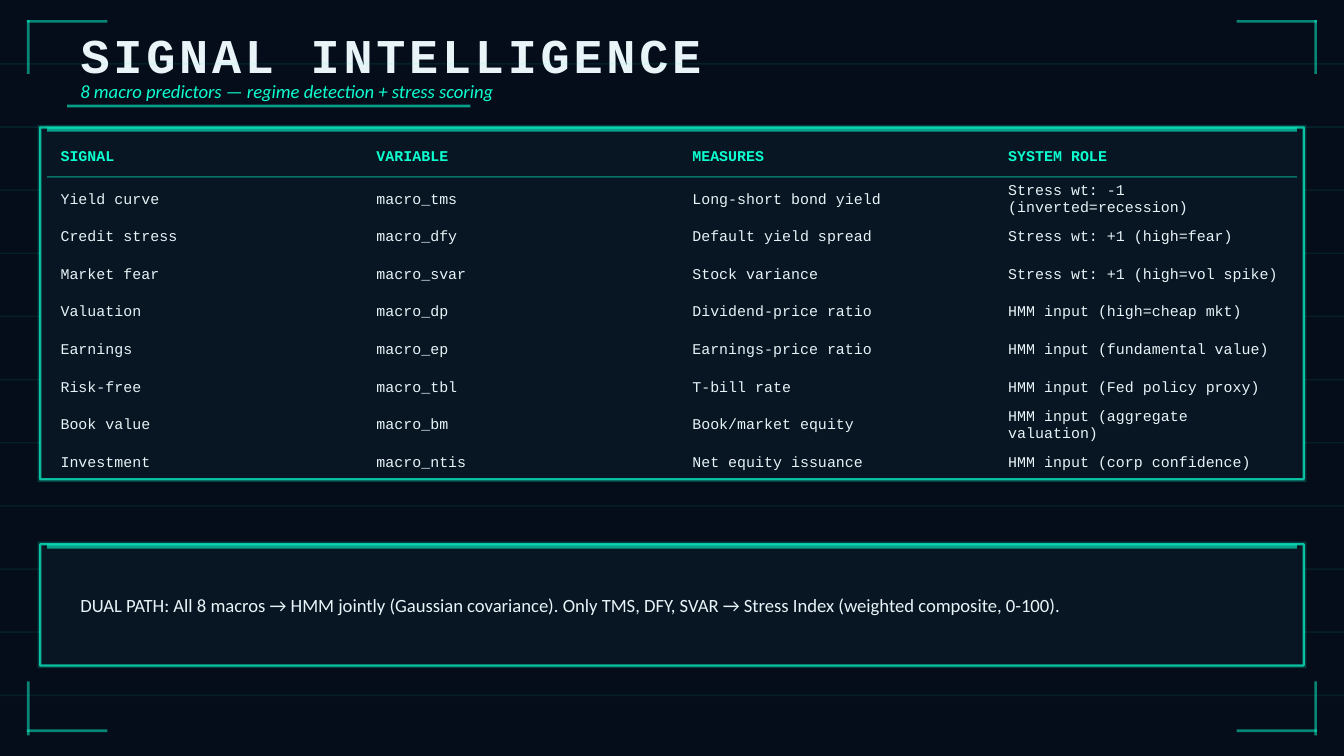
"""Build the signal intelligence slide: a predictor table above a dual-path note."""
from dataclasses import dataclass

import lxml.etree
import pptx
import pptx.dml.color
import pptx.enum.shapes
import pptx.enum.text
import pptx.oxml.ns
import pptx.util

Cm = pptx.util.Cm
MIDDLE = pptx.enum.text.MSO_ANCHOR.MIDDLE
NO_STYLE_NO_GRID = "{2D5ABB26-0587-4C30-8999-92F81FD0307C}"


@dataclass(frozen=True)
class Theme:
    night: str = "050D1A"
    panel: str = "091422"
    accent: str = "0CFFD0"
    light: str = "E8F4F8"
    mono: str = "Courier New"
    sans: str = "Calibri"
    title_size: int = 26
    body_size: int = 10
    cell_size: int = 8


THEME = Theme()

SIGNALS = [
    ("SIGNAL", "VARIABLE", "MEASURES", "SYSTEM ROLE"),
    ("Yield curve", "macro_tms", "Long-short bond yield", "Stress wt: -1 (inverted=recession)"),
    ("Credit stress", "macro_dfy", "Default yield spread", "Stress wt: +1 (high=fear)"),
    ("Market fear", "macro_svar", "Stock variance", "Stress wt: +1 (high=vol spike)"),
    ("Valuation", "macro_dp", "Dividend-price ratio", "HMM input (high=cheap mkt)"),
    ("Earnings", "macro_ep", "Earnings-price ratio", "HMM input (fundamental value)"),
    ("Risk-free", "macro_tbl", "T-bill rate", "HMM input (Fed policy proxy)"),
    ("Book value", "macro_bm", "Book/market equity", "HMM input (aggregate valuation)"),
    ("Investment", "macro_ntis", "Net equity issuance", "HMM input (corp confidence)"),
]


def rgb(color):
    """Return a colour object for a hex string."""
    return pptx.dml.color.RGBColor.from_string(color)


def paint(fill, color, opacity):
    """Fill with one colour at the given opacity in percent."""
    fill.solid()
    fill.fore_color.rgb = rgb(color)
    tint = fill._xPr.find(".//" + pptx.oxml.ns.qn("a:srgbClr"))
    lxml.etree.SubElement(tint, pptx.oxml.ns.qn("a:alpha"), val=str(opacity * 1000))


def add_bar(page, left, top, width, height, opacity, color=THEME.accent):
    """Add a borderless translucent rectangle, measured in centimetres."""
    bar = page.shapes.add_shape(
        pptx.enum.shapes.MSO_SHAPE.RECTANGLE, Cm(left), Cm(top), Cm(width), Cm(height))
    bar.shadow.inherit = False
    paint(bar.fill, color, opacity)
    bar.line.fill.background()
    return bar


def write(frame, text, size, font, color, bold=False, italic=False):
    """Write one left-aligned paragraph and return its run."""
    frame.text = text
    para = frame.paragraphs[0]
    para.alignment = pptx.enum.text.PP_ALIGN.LEFT
    span = para.runs[0]
    span.font.size = pptx.util.Pt(size)
    span.font.name = font
    span.font.color.rgb = rgb(color)
    span.font.bold = bold
    span.font.italic = italic
    return span


def add_text(page, top, height, text, color, italic=False):
    """Add a full-width line of body text."""
    box = page.shapes.add_textbox(Cm(1.27), Cm(top), Cm(22.86), Cm(height))
    box.text_frame.word_wrap = True
    box.text_frame.vertical_anchor = MIDDLE
    write(box.text_frame, text, THEME.body_size, THEME.sans, color, italic=italic)


def set_title(page, text):
    """Place and format the title placeholder."""
    title = page.shapes.title
    title.left, title.top, title.width, title.height = Cm(1.27), Cm(0.46), Cm(22.86), Cm(1.14)
    title.text_frame.auto_size = pptx.enum.text.MSO_AUTO_SIZE.NONE
    title.text_frame.vertical_anchor = MIDDLE
    span = write(title.text_frame, text, THEME.title_size, THEME.mono, THEME.light, bold=True)
    span.font._element.set("spc", "200")


def add_backdrop(page):
    """Add the faint scan lines and the four corner brackets."""
    for step in range(1, 12):
        add_bar(page, 0, 13.13 * step / 11, 25.4, 0.03, 8)
    for arm_top, leg_top in ((0.38, 0.38), (13.79, 12.88)):
        for arm_left, leg_left in ((0.51, 0.51), (23.37, 24.84)):
            add_bar(page, arm_left, arm_top, 1.52, 0.05, 50)
            add_bar(page, leg_left, leg_top, 0.05, 1.02, 50)


def add_panel(page, top, height):
    """Add a glowing outlined panel with a bright top edge."""
    add_bar(page, 0.71, top - 0.05, 23.98, height + 0.1, 20)
    panel = add_bar(page, 0.76, top, 23.88, height, 95, THEME.panel)
    panel.line.width = pptx.util.Pt(1.2)
    paint(panel.line.fill, THEME.accent, 70)
    add_bar(page, 0.89, top, 23.62, 0.08, 60)


def add_signal_table(page):
    """Add the predictor table with a rule under its header."""
    widths = (5.97, 5.97, 5.97, 5.72)
    heights = [0.81] + [0.71] * (len(SIGNALS) - 1)
    table = page.shapes.add_table(
        len(SIGNALS), len(widths), Cm(0.89), Cm(2.62), Cm(sum(widths)), Cm(sum(heights))).table
    table._tbl.tblPr.find(pptx.oxml.ns.qn("a:tableStyleId")).text = NO_STYLE_NO_GRID
    table.horz_banding = False
    for column, width in zip(table.columns, widths):
        column.width = Cm(width)
    for index, (row, texts) in enumerate(zip(table.rows, SIGNALS)):
        header = index == 0
        row.height = Cm(heights[index])
        for cell, text in zip(row.cells, texts):
            cell.fill.background()
            cell.vertical_anchor = MIDDLE
            cell.margin_top = 0
            cell.margin_bottom = Cm(0.1) if header else 0
            write(cell.text_frame, text, THEME.cell_size, THEME.mono,
                  THEME.accent if header else THEME.light, bold=header)
    add_bar(page, 0.89, 3.33, 23.62, 0.03, 40)


def main():
    """Build and save the deck."""
    deck = pptx.Presentation()
    deck.slide_width, deck.slide_height = Cm(25.4), Cm(14.29)
    page = deck.slides.add_slide(deck.slide_layouts.get_by_name("Title Only"))
    page.background.fill.solid()
    page.background.fill.fore_color.rgb = rgb(THEME.night)
    add_backdrop(page)
    set_title(page, "SIGNAL INTELLIGENCE")
    add_text(page, 1.4, 0.64, "8 macro predictors — regime detection + stress scoring",
             THEME.accent, italic=True)
    add_bar(page, 1.27, 1.98, 7.62, 0.05, 60)
    add_panel(page, 2.41, 6.65)
    add_signal_table(page)
    add_panel(page, 10.29, 2.29)
    add_text(page, 10.54, 1.78,
             "DUAL PATH: All 8 macros → HMM jointly (Gaussian covariance). "
             "Only TMS, DFY, SVAR → Stress Index (weighted composite, 0-100).", THEME.light)
    deck.save("out.pptx")


if __name__ == "__main__":
    main()
